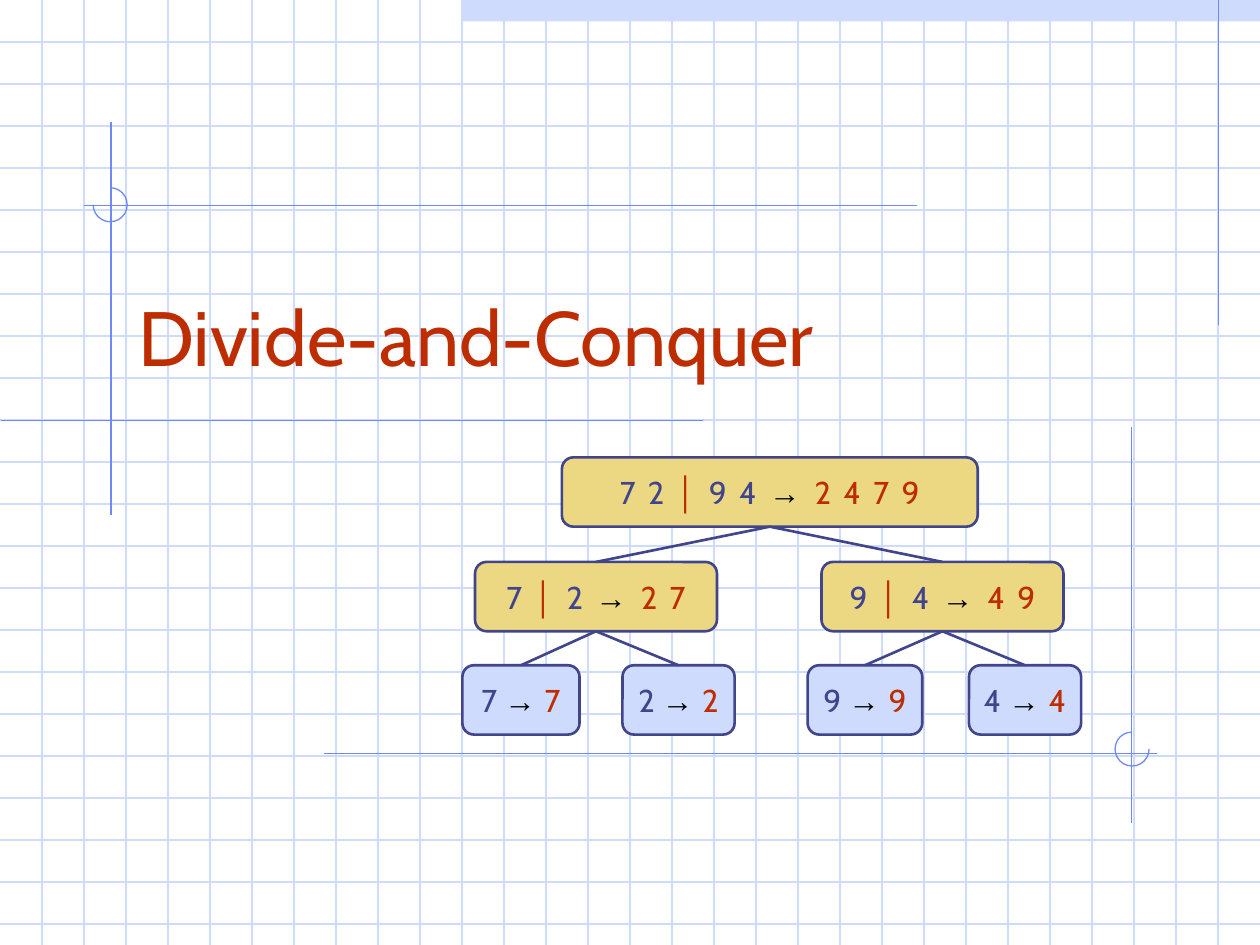
import pptx
import pptx.util
import pptx.dml.color
import pptx.enum.shapes
import pptx.enum.text
import pptx.oxml.ns
import lxml.etree

Inches, Pt = pptx.util.Inches, pptx.util.Pt
RGBColor = pptx.dml.color.RGBColor
SHAPES = pptx.enum.shapes.MSO_SHAPE
ANCHORS = pptx.enum.text.MSO_ANCHOR

PALE_BLUE = RGBColor(0xCF, 0xDB, 0xFD)
MID_BLUE = RGBColor(0x6F, 0x89, 0xF7)
NAVY = RGBColor(0x40, 0x45, 0x8C)
RED = RGBColor(0xBE, 0x2D, 0x00)
GOLD = RGBColor(0xEC, 0xD8, 0x82)
BLACK = RGBColor(0x00, 0x00, 0x00)

deck = pptx.Presentation()
deck.slide_width, deck.slide_height = Inches(10), Inches(7.5)
page = deck.slides.add_slide(deck.slide_layouts[6])


def add_line(x1, y1, x2, y2, color, width=0.75):
    line = page.shapes.add_connector(
        pptx.enum.shapes.MSO_CONNECTOR.STRAIGHT,
        Inches(x1), Inches(y1), Inches(x2), Inches(y2))
    line.line.color.rgb = color
    line.line.width = Pt(width)
    lxml.etree.SubElement(line._element.spPr, pptx.oxml.ns.qn("a:effectLst"))


def add_run(para, text, size, color, face="Cabin", bold=False):
    span = para.add_run()
    span.text = text
    span.font.size = Pt(size)
    span.font.name = face
    span.font.bold = bold
    span.font.color.rgb = color
    return span


# Graph paper with a band at the top
band = page.shapes.add_shape(SHAPES.RECTANGLE, Inches(3.67), 0, Inches(6.33), Inches(0.17))
band.shadow.inherit = False
band.fill.solid()
band.fill.fore_color.rgb = PALE_BLUE
band.line.fill.background()
for row in range(1, 23):
    add_line(0, row / 3, 10, row / 3, PALE_BLUE)
for column in range(1, 30):
    add_line(column / 3, 0, column / 3, 7.5, PALE_BLUE)

# Drafting lines and the arcs at their crossings
for ends in [(9.67, 0, 9.67, 2.58), (0.88, 0.97, 0.88, 4.09),
             (0.01, 3.34, 5.58, 3.34), (0.67, 1.63, 7.28, 1.63),
             (2.57, 5.98, 9.18, 5.98), (8.98, 3.39, 8.98, 6.53)]:
    add_line(*ends, MID_BLUE)

# Arc adjustments count in units of 5/3 degree, clockwise from the right
for left, top, start, end in [(0.74, 1.49, 270, 180), (8.85, 5.81, 0, 270)]:
    arc = page.shapes.add_shape(
        SHAPES.ARC, Inches(left), Inches(top), Inches(0.27), Inches(0.27))
    arc.shadow.inherit = False
    arc.adjustments[0] = start * 0.6
    arc.adjustments[1] = end * 0.6
    arc.fill.background()
    arc.line.color.rgb = MID_BLUE
    arc.line.width = Pt(0.75)

title = page.shapes.add_textbox(Inches(1), Inches(1.83), Inches(8.5), Inches(1.25))
title.text_frame.word_wrap = True
title.text_frame.vertical_anchor = ANCHORS.BOTTOM
add_run(title.text_frame.paragraphs[0], "Divide-and-Conquer", 44, RED)

# Merge-sort tree: left, top, width, first half, second half, sorted result
NODES = [
    (4.46, 3.63, 3.30, "7 2", "9 4", "2 4 7 9"),
    (3.77, 4.46, 1.92, "7", "2", "2 7"),
    (6.52, 4.46, 1.92, "9", "4", "4 9"),
    (3.67, 5.28, 0.93, "7", "", "7"),
    (4.94, 5.28, 0.89, "2", "", "2"),
    (6.41, 5.28, 0.91, "9", "", "9"),
    (7.69, 5.28, 0.89, "4", "", "4"),
]
NODE_HEIGHT = 0.55
for left, top, width, first, second, result in NODES:
    node = page.shapes.add_shape(
        SHAPES.ROUNDED_RECTANGLE,
        Inches(left), Inches(top), Inches(width), Inches(NODE_HEIGHT))
    node.shadow.inherit = False
    node.fill.solid()
    node.fill.fore_color.rgb = GOLD if second else PALE_BLUE
    node.line.color.rgb = NAVY
    node.line.width = Pt(1.5)
    node.text_frame.word_wrap = False
    node.text_frame.vertical_anchor = ANCHORS.MIDDLE
    para = node.text_frame.paragraphs[0]
    para.alignment = pptx.enum.text.PP_ALIGN.CENTER
    spans = [add_run(para, first + " ", 18, NAVY)]
    if second:
        spans.append(add_run(para, "│", 18, RED, "Arial", True))
        spans.append(add_run(para, f" {second} ", 18, NAVY))
    spans.append(add_run(para, "→ ", 18, BLACK, "Arial", True))
    spans.append(add_run(para, result, 18, RED))
    if second:
        for span in spans:  # letter spacing, in hundredths of a point
            span._r.get_or_add_rPr().set("spc", "150")

# Node i has the children 2i + 1 and 2i + 2
for child in range(1, len(NODES)):
    left, top, width = NODES[child][:3]
    parent_left, parent_top, parent_width = NODES[(child - 1) // 2][:3]
    add_line(left + width / 2, top,
             parent_left + parent_width / 2, parent_top + NODE_HEIGHT, NAVY, 1.5)

deck.save("out.pptx")
